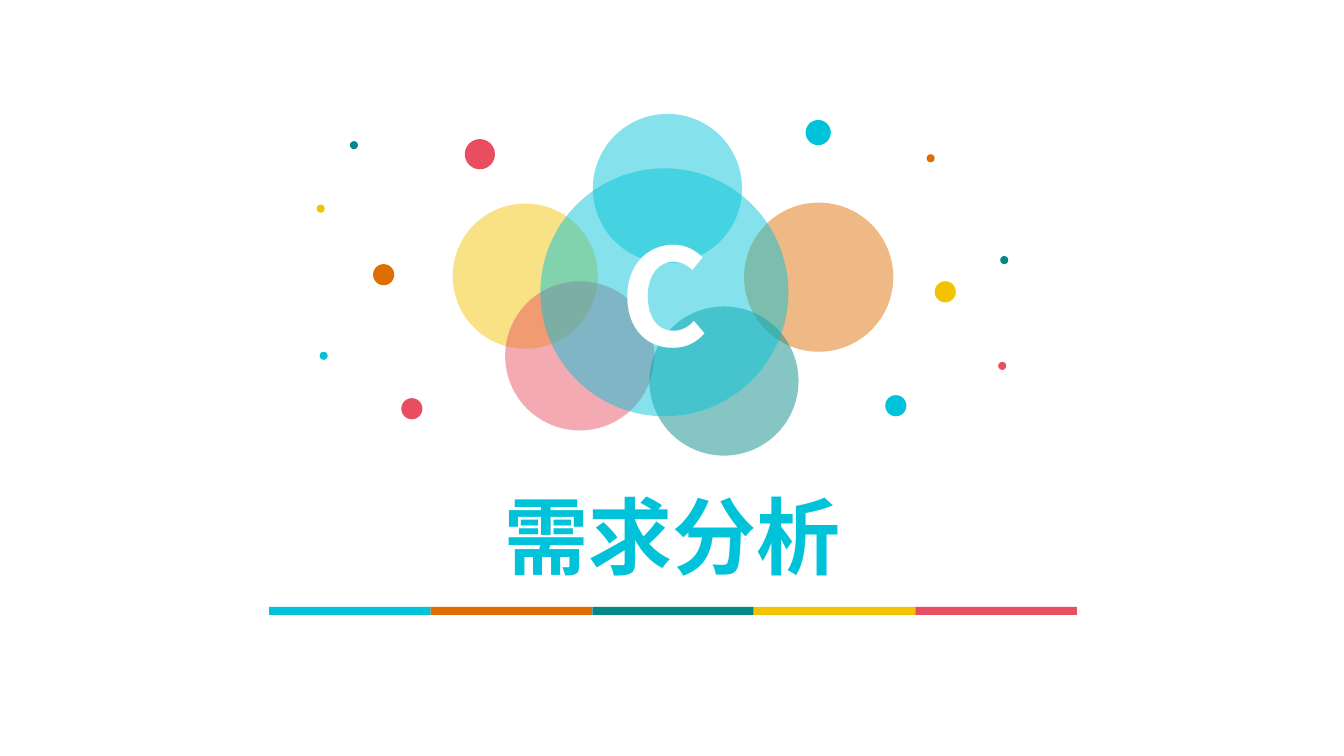
import pptx
import pptx.util
import pptx.dml.color
import pptx.enum.shapes
import pptx.enum.text
import pptx.oxml
import pptx.oxml.ns
from pptx.util import Inches

HUES = {
    "cyan": "00C3D9",
    "orange": "DE6E00",
    "teal": "028985",
    "yellow": "F3C301",
    "red": "E94E60",
    "white": "FFFFFF",
}
FONT = "Noto Sans CJK SC"
KINDS = pptx.enum.shapes.MSO_SHAPE

DOTS = [
    (0, 0.9, 0.08, "yellow"),
    (4.85, 0.06, 0.25, "cyan"),
    (1.47, 0.25, 0.3, "red"),
    (0.56, 1.49, 0.21, "orange"),
    (0.33, 0.27, 0.08, "teal"),
    (0.84, 2.82, 0.21, "red"),
    (0.03, 2.36, 0.08, "cyan"),
    (6.13, 1.66, 0.21, "yellow"),
    (6.05, 0.4, 0.08, "orange"),
    (6.78, 1.41, 0.08, "teal"),
    (5.64, 2.79, 0.21, "cyan"),
    (6.76, 2.46, 0.08, "red"),
]
DISCS = [
    (0, 0.89, 1.44, "yellow"),
    (0.52, 1.66, 1.48, "red"),
    (1.39, 0, 1.48, "cyan"),
    (2.89, 0.88, 1.48, "orange"),
    (1.95, 1.91, 1.48, "teal"),
    (0.87, 0.54, 2.46, "cyan"),
]


def tint(hue):
    return pptx.dml.color.RGBColor.from_string(HUES[hue])


def add_form(slide, kind, left, top, width, height, hue):
    form = slide.shapes.add_shape(
        kind, Inches(left), Inches(top), Inches(width), Inches(height))
    form.shadow.inherit = False
    form.fill.solid()
    form.fill.fore_color.rgb = tint(hue)
    form.line.fill.background()
    return form


def fade(form, share):
    color = form.fill._xPr.find(".//" + pptx.oxml.ns.qn("a:srgbClr"))
    alpha = pptx.oxml.parse_xml(
        f'<a:alpha {pptx.oxml.ns.nsdecls("a")} val="{share * 1000}"/>')
    color.append(alpha)


def set_text(form, text, size, hue):
    frame = form.text_frame
    frame.text = text
    frame.word_wrap = True
    frame.auto_size = pptx.enum.text.MSO_AUTO_SIZE.NONE
    frame.vertical_anchor = pptx.enum.text.MSO_ANCHOR.MIDDLE
    para = frame.paragraphs[0]
    para.alignment = pptx.enum.text.PP_ALIGN.CENTER
    font = para.runs[0].font
    font.size = pptx.util.Pt(size)
    font.bold = True
    font.name = FONT
    font.color.rgb = tint(hue)
    east = pptx.oxml.parse_xml(
        f'<a:ea {pptx.oxml.ns.nsdecls("a")} typeface="{FONT}"/>')
    font._element.find(pptx.oxml.ns.qn("a:latin")).addnext(east)


def add_dots(slide, left, top):
    for x, y, size, hue in DOTS:
        add_form(slide, KINDS.OVAL, left + x, top + y, size, size, hue)


def add_bloom(slide, left, top, letter):
    for x, y, size, hue in DISCS:
        disc = add_form(slide, KINDS.OVAL, left + x, top + y, size, size, hue)
        fade(disc, 48)
    set_text(disc, letter, 96, "white")


def add_stripe(slide, left, top, width, height):
    hues = ["cyan", "orange", "teal", "yellow", "red"]
    step = width / len(hues)
    for i, hue in enumerate(hues):
        add_form(slide, KINDS.RECTANGLE, left + i * step, top, step, height, hue)


def add_title(slide, left, top, width, height, text):
    title = slide.shapes.title
    title.left, title.top = Inches(left), Inches(top)
    title.width, title.height = Inches(width), Inches(height)
    set_text(title, text, 60, "cyan")


def main():
    deck = pptx.Presentation()
    deck.slide_width = Inches(13.33)
    deck.slide_height = Inches(7.5)
    slide = deck.slides.add_slide(deck.slide_layouts[5])
    add_dots(slide, 3.14, 1.13)
    add_bloom(slide, 4.49, 1.13, "C")
    add_stripe(slide, 2.67, 6.02, 8.01, 0.08)
    add_title(slide, 1.75, 4.94, 9.84, 0.74, "需求分析")
    deck.save("out.pptx")


if __name__ == "__main__":
    main()
